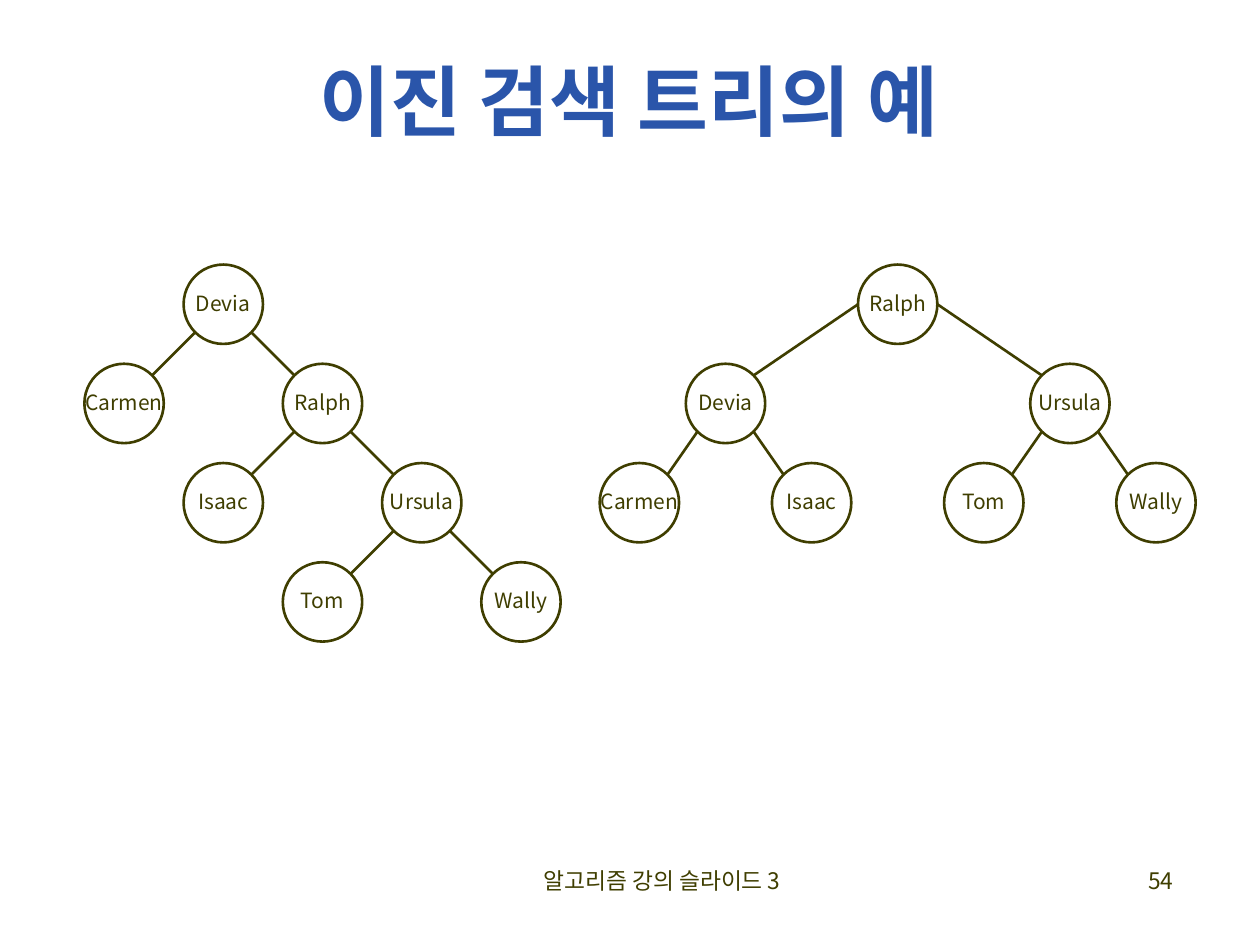
"""Builds a slide that shows two binary search trees over the same names."""
import dataclasses
import math

import pptx
import pptx.dml.color
import pptx.enum.shapes
import pptx.enum.text
import pptx.oxml.ns
import pptx.util
from lxml import etree

Inches = pptx.util.Inches
Align = pptx.enum.text.PP_ALIGN
Anchor = pptx.enum.text.MSO_ANCHOR


@dataclasses.dataclass(frozen=True)
class Theme:
    ink: str = "3F3E00"
    accent: str = "2A55AA"
    body_font: str = "Noto Sans CJK KR"
    title_font: str = "Times New Roman"
    title_size: int = 44
    footer_size: int = 13
    node_size: int = 12
    line_width: float = 1.5


@dataclasses.dataclass(frozen=True)
class Tree:
    left: float
    step: float
    nodes: dict
    edges: tuple


DIAMETER = 0.63
TREE_TOP = 2.1
ROW_STEP = DIAMETER * 1.25

SKEWED = Tree(
    left=0.67,
    step=ROW_STEP,
    nodes={"Devia": (1, 0), "Carmen": (0, 1), "Ralph": (2, 1), "Isaac": (1, 2),
           "Ursula": (3, 2), "Tom": (2, 3), "Wally": (4, 3)},
    edges=(("Devia", "Carmen"), ("Devia", "Ralph"), ("Ralph", "Isaac"),
           ("Ralph", "Ursula"), ("Ursula", "Tom"), ("Ursula", "Wally")),
)
BALANCED = Tree(
    left=4.76,
    step=(8.86 - 4.76) / 6,
    nodes={"Ralph": (3, 0), "Devia": (1, 1), "Ursula": (5, 1), "Carmen": (0, 2),
           "Isaac": (2, 2), "Tom": (4, 2), "Wally": (6, 2)},
    edges=(("Ralph", "Devia"), ("Ralph", "Ursula"), ("Devia", "Carmen"),
           ("Devia", "Isaac"), ("Ursula", "Tom"), ("Ursula", "Wally")),
)


def apply(target, values):
    for name, value in values.items():
        setattr(target, name, value)


class SlideBuilder:
    def __init__(self, page, theme):
        self.page = page
        self.theme = theme

    def color(self, value):
        return pptx.dml.color.RGBColor.from_string(value)

    def place(self, box, left, top, width, height):
        apply(box, {"left": Inches(left), "top": Inches(top),
                    "width": Inches(width), "height": Inches(height)})

    def add_text(self, box, text, align, size, para_format=None, **font):
        para = box.text_frame.paragraphs[0]
        apply(para, {"alignment": align, **(para_format or {})})
        span = para.add_run()
        span.text = text
        apply(span.font, {"name": self.theme.body_font,
                          "size": pptx.util.Pt(size), **font})
        east_asian = etree.SubElement(span.font._element, pptx.oxml.ns.qn("a:ea"))
        east_asian.set("typeface", self.theme.body_font)
        return span

    def outline(self, line):
        line.width = pptx.util.Pt(self.theme.line_width)
        line.color.rgb = self.color(self.theme.ink)

    def title(self, text, *bounds):
        box = self.page.shapes.title
        self.place(box, *bounds)
        box.text_frame.vertical_anchor = Anchor.MIDDLE
        span = self.add_text(box, text, Align.CENTER, self.theme.title_size,
                             name=self.theme.title_font, bold=True)
        span.font.color.rgb = self.color(self.theme.accent)

    def footer(self, text, align, *bounds):
        box = self.page.shapes.add_textbox(*map(Inches, bounds))
        box.text_frame.word_wrap = True
        span = self.add_text(box, text, align, self.theme.footer_size)
        span.font.color.rgb = self.color(self.theme.ink)

    def node(self, text, left, top):
        oval = self.page.shapes.add_shape(
            pptx.enum.shapes.MSO_SHAPE.OVAL,
            *map(Inches, (left, top, DIAMETER, DIAMETER)))
        oval.shadow.inherit = False
        oval.fill.background()
        self.outline(oval.line)
        apply(oval.text_frame, {"word_wrap": False, "vertical_anchor": Anchor.MIDDLE})
        span = self.add_text(oval, text, Align.CENTER, self.theme.node_size,
                             {"line_spacing": 0.9})
        span.font.color.rgb = self.color(self.theme.ink)

    def edge(self, start, end):
        line = self.page.shapes.add_connector(
            pptx.enum.shapes.MSO_CONNECTOR.STRAIGHT, *map(Inches, (*start, *end)))
        self.outline(line.line)
        etree.SubElement(line._element.spPr, pptx.oxml.ns.qn("a:effectLst"))

    def tree(self, tree):
        corners = {name: (tree.left + column * tree.step, TREE_TOP + row * ROW_STEP)
                   for name, (column, row) in tree.nodes.items()}
        for name, corner in corners.items():
            self.node(name, *corner)

        def rim(name, side, angle):
            left, top = corners[name]
            radius = DIAMETER / 2
            return (left + radius + side * radius * math.cos(angle),
                    top + radius + radius * math.sin(angle))

        for parent, child in tree.edges:
            shift = tree.nodes[child][0] - tree.nodes[parent][0]
            side = math.copysign(1, shift)
            leave = 0 if abs(shift) > 1 else math.pi / 4
            self.edge(rim(parent, side, leave), rim(child, -side, -math.pi / 4))


def main():
    deck = pptx.Presentation()
    apply(deck, {"slide_width": Inches(10), "slide_height": Inches(7.5)})
    page = deck.slides.add_slide(deck.slide_layouts[5])
    builder = SlideBuilder(page, Theme())
    builder.title("이진 검색 트리의 예", 0.27, 0.28, 9.45, 1.02)
    builder.footer("알고리즘 강의 슬라이드 3", Align.CENTER, 3.67, 6.83, 3.17, 0.5)
    builder.footer("54", Align.RIGHT, 7.33, 6.83, 2.08, 0.5)
    for tree in (SKEWED, BALANCED):
        builder.tree(tree)
    deck.save("out.pptx")


if __name__ == "__main__":
    main()
